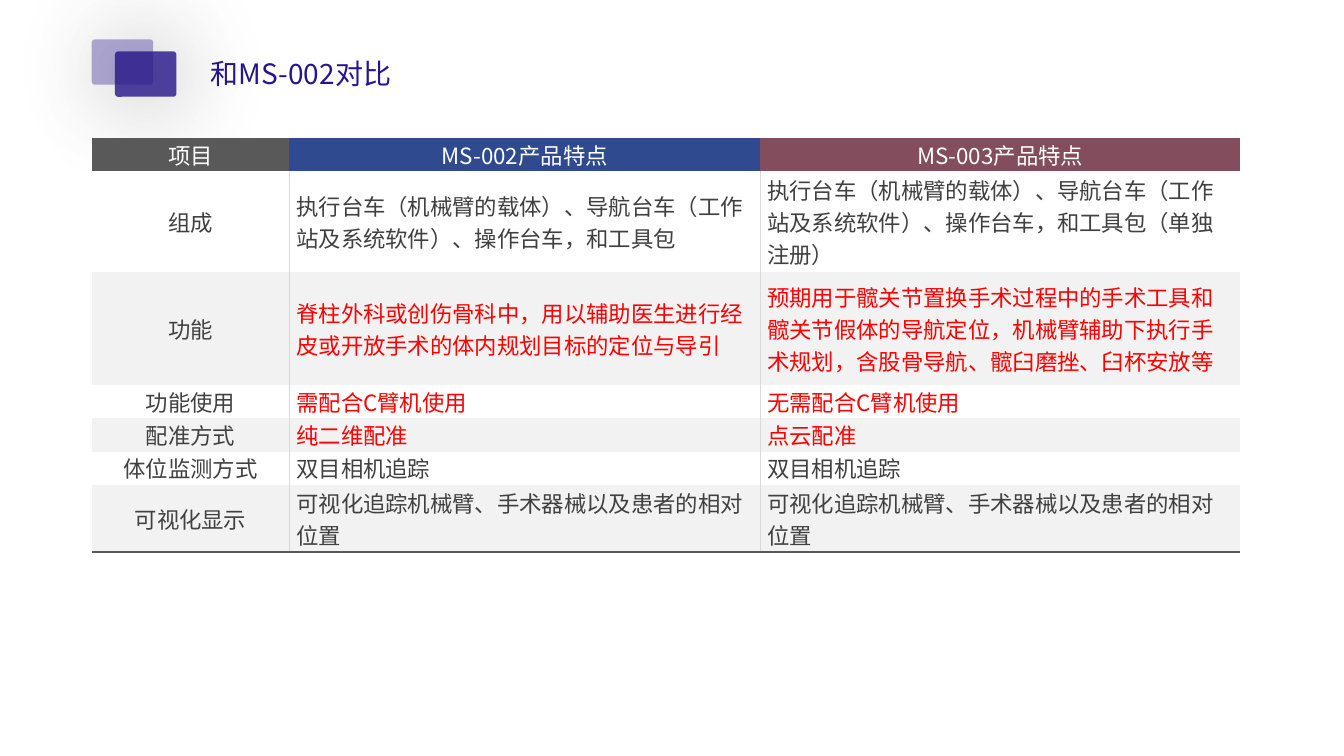
from dataclasses import dataclass

import pptx
import pptx.dml.color
import pptx.enum.shapes
import pptx.enum.text
import pptx.oxml
import pptx.oxml.ns
import pptx.util

PX = 9144  # EMU per px, 100 px to the inch
FONT = "Noto Sans CJK SC"
NO_TABLE_STYLE = "{2D5ABB26-0587-4C30-8999-92F81FD0307C}"
COLORS = {
    "indigo": "26158C", "white": "FFFFFF", "band": "F2F2F2",
    "gray": "595959", "blue": "2F4A8F", "plum": "834D5E",
    "text": "404040", "red": "FF0000", "grid": "D9D9D9", "black": "000000",
}
ALIGN = pptx.enum.text.PP_ALIGN
MIDDLE = pptx.enum.text.MSO_ANCHOR.MIDDLE


@dataclass
class Tile:
    left: int
    top: int
    opacity: int


@dataclass
class Feature:
    name: str
    ms002: str
    ms003: str
    height: int
    color: str = "text"


BACK_TILE = Tile(114, 51, 80)
FRONT_TILE = Tile(91, 39, 35)
TILE_SIZE = (61, 45)

COLUMN_WIDTHS = (196, 467, 476)
HEADER_FILLS = ("gray", "blue", "plum")
HEADER = Feature("项目", "MS-002产品特点", "MS-003产品特点", 33, "white")
FEATURES = [
    Feature("组成",
            "执行台车（机械臂的载体）、导航台车（工作站及系统软件）、操作台车，和工具包",
            "执行台车（机械臂的载体）、导航台车（工作站及系统软件）、操作台车，和工具包（单独注册）",
            100),
    Feature("功能",
            "脊柱外科或创伤骨科中，用以辅助医生进行经皮或开放手术的体内规划目标的定位与导引",
            "预期用于髋关节置换手术过程中的手术工具和髋关节假体的导航定位，机械臂辅助下执行手术规划，"
            "含股骨导航、髋臼磨挫、臼杯安放等",
            112, "red"),
    Feature("功能使用", "需配合C臂机使用", "无需配合C臂机使用", 33, "red"),
    Feature("配准方式", "纯二维配准", "点云配准", 33, "red"),
    Feature("体位监测方式", "双目相机追踪", "双目相机追踪", 33),
    Feature("可视化显示",
            "可视化追踪机械臂、手术器械以及患者的相对位置",
            "可视化追踪机械臂、手术器械以及患者的相对位置", 67),
]


def px(length: int) -> pptx.util.Emu:
    return pptx.util.Emu(length * PX)


def rgb(color: str) -> pptx.dml.color.RGBColor:
    return pptx.dml.color.RGBColor.from_string(COLORS[color])


def xml(markup: str):
    """Parse one DrawingML element, adding the namespace to its first tag."""
    tag, rest = markup.split(" ", 1)
    return pptx.oxml.parse_xml(f"{tag} {pptx.oxml.ns.nsdecls('a')} {rest}")


def format_text(para, size: int, color: str, align) -> None:
    para.alignment = align
    for span in para.runs:
        span.font.size = pptx.util.Pt(size)
        span.font.name = FONT
        span.font.color.rgb = rgb(color)
        span.font._element.find(pptx.oxml.ns.qn("a:latin")).addnext(
            xml(f'<a:ea typeface="{FONT}"/>'))


def add_tile(page, tile: Tile) -> None:
    shape = page.shapes.add_shape(
        pptx.enum.shapes.MSO_SHAPE.ROUNDED_RECTANGLE,
        px(tile.left), px(tile.top), *map(px, TILE_SIZE))
    shape.adjustments[0] = 0.07
    shape.fill.solid()
    shape.fill.fore_color.rgb = rgb("indigo")
    shape.line.fill.background()
    properties = shape._element.spPr
    properties.find(".//" + pptx.oxml.ns.qn("a:srgbClr")).append(
        xml(f'<a:alpha val="{tile.opacity * 1000}"/>'))
    blur, distance = pptx.util.Pt(70), pptx.util.Pt(3)
    properties.append(xml(
        f'<a:effectLst ><a:outerShdw blurRad="{blur}" dist="{distance}" dir="2700000" '
        f'algn="tl" rotWithShape="0"><a:srgbClr val="{COLORS["black"]}">'
        '<a:alpha val="40000"/></a:srgbClr></a:outerShdw></a:effectLst>'))


def add_border(cell, side: str, color: str, width: float) -> None:
    cell._tc.get_or_add_tcPr().append(xml(
        f'<a:ln{side} w="{pptx.util.Pt(width)}"><a:solidFill>'
        f'<a:srgbClr val="{COLORS[color]}"/></a:solidFill></a:ln{side}>'))


def fill_cell(cell, text: str, color: str, fill: str, centered: bool) -> None:
    cell.text_frame.text = text
    format_text(cell.text_frame.paragraphs[0], 16, color,
                ALIGN.CENTER if centered else ALIGN.LEFT)
    cell.vertical_anchor = MIDDLE
    cell.margin_left = cell.margin_right = px(7)
    cell.margin_top = cell.margin_bottom = 0
    cell.fill.solid()
    cell.fill.fore_color.rgb = rgb(fill)


def add_comparison(page) -> None:
    rows = [HEADER, *FEATURES]
    frame = page.shapes.add_table(
        len(rows), len(COLUMN_WIDTHS), px(91), px(137),
        px(sum(COLUMN_WIDTHS)), px(sum(row.height for row in rows)))
    table = frame.table
    table.first_row = table.horz_banding = False
    table._tbl.tblPr.find(pptx.oxml.ns.qn("a:tableStyleId")).text = NO_TABLE_STYLE
    for column, width in zip(table.columns, COLUMN_WIDTHS):
        column.width = px(width)

    for r, feature in enumerate(rows):
        table.rows[r].height = px(feature.height)
        for c, text in enumerate((feature.name, feature.ms002, feature.ms003)):
            cell = table.cell(r, c)
            if r == 0:
                fill_cell(cell, text, feature.color, HEADER_FILLS[c], True)
                continue
            # Column rules: 1 pt after the names, 0.5 pt between products
            if c > 0:
                add_border(cell, "L", "grid", 1 if c == 1 else 0.5)
            if c < 2:
                add_border(cell, "R", "grid", 1 if c == 0 else 0.5)
            if r == len(FEATURES):
                add_border(cell, "B", "gray", 1.5)
            fill_cell(cell, text, feature.color if c else "text",
                      "white" if r % 2 else "band", c == 0)


def place_title(page) -> None:
    title = page.shapes.title
    title.left, title.top, title.width, title.height = map(px, (199, 51, 287, 44))
    box = title.text_frame
    box.text = "和MS-002对比"
    box.word_wrap = True
    box.auto_size = pptx.enum.text.MSO_AUTO_SIZE.SHAPE_TO_FIT_TEXT
    box.vertical_anchor = MIDDLE
    format_text(box.paragraphs[0], 20, "indigo", ALIGN.JUSTIFY)
    # Bring the title above the back tile's shadow
    page.shapes._spTree.append(title._element)


def main() -> None:
    deck = pptx.Presentation()
    deck.slide_width, deck.slide_height = px(1333), px(750)
    page = deck.slides.add_slide(deck.slide_layouts.get_by_name("Title Only"))

    # Heading
    add_tile(page, BACK_TILE)
    place_title(page)
    add_tile(page, FRONT_TILE)

    # Product comparison
    add_comparison(page)
    deck.save("out.pptx")


if __name__ == "__main__":
    main()
